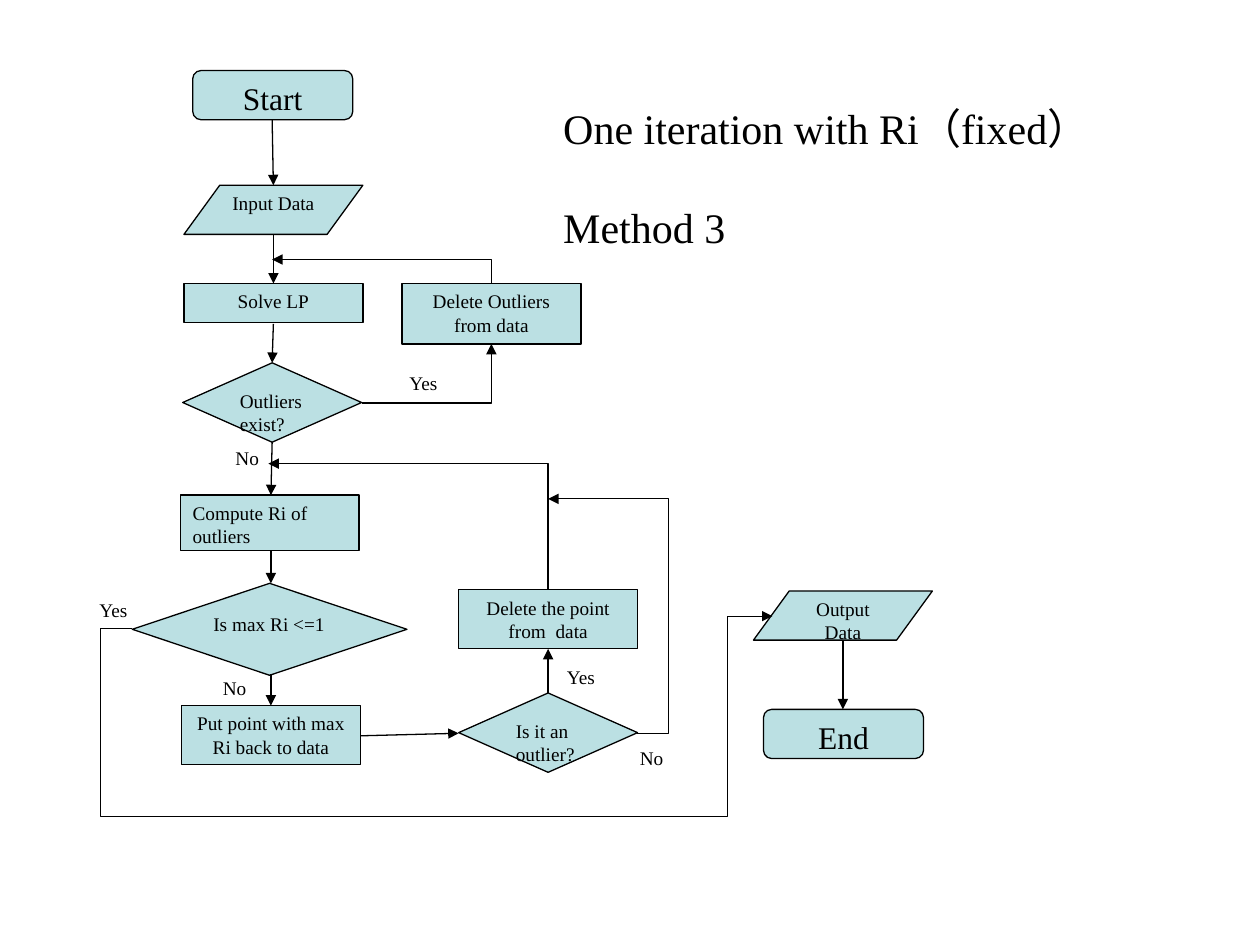
from dataclasses import dataclass

from lxml.etree import SubElement
from pptx import Presentation
from pptx.dml.color import RGBColor
from pptx.enum.shapes import MSO_CONNECTOR as LINK, MSO_SHAPE as FORM
from pptx.enum.text import MSO_ANCHOR, MSO_AUTO_SIZE, PP_ALIGN
from pptx.oxml.ns import qn
from pptx.util import Inches, Pt


@dataclass(frozen=True)
class Theme:
    """Colours, font and sizes of the chart."""
    ink: RGBColor = RGBColor(0, 0, 0)
    fill: RGBColor = RGBColor(0xBB, 0xE0, 0xE3)
    font: str = "Times New Roman"
    small: int = 11
    large: int = 18
    title: int = 24
    line: float = 0.75


class Flow:
    """Draws a flow chart on a grid of 100 columns by 75 rows."""

    def __init__(self, deck, theme):
        """Add a title-only slide and work out the grid cell."""
        self.theme = theme
        self.slide = deck.slides.add_slide(deck.slide_layouts[5])
        self.shapes = self.slide.shapes
        self.col = deck.slide_width / 100
        self.row = deck.slide_height / 75

    def grid(self, x, y, w, h):
        """Turn columns and rows into lengths."""
        return [round(n) for n in (x * self.col, y * self.row,
                                   w * self.col, h * self.row)]

    def words(self, shape, text, size, align=PP_ALIGN.LEFT):
        """Put styled text at the top of a shape."""
        frame = shape.text_frame
        frame.text = text
        frame.word_wrap = True
        frame.vertical_anchor = MSO_ANCHOR.TOP
        for para in frame.paragraphs:
            para.alignment = align
            for run in para.runs:
                run.font.name = self.theme.font
                run.font.size = Pt(size)
                run.font.color.rgb = self.theme.ink
        return frame

    def title(self, text, box, gap):
        """Place the title, with a gap before its last line."""
        shape = self.shapes.title
        shape.left, shape.top, shape.width, shape.height = self.grid(*box)
        frame = self.words(shape, text, self.theme.title)
        frame.auto_size = MSO_AUTO_SIZE.NONE
        frame.paragraphs[-1].space_before = Pt(gap)

    def node(self, form, text, box, size=None, align=PP_ALIGN.CENTER):
        """Add one step of the chart."""
        shape = self.shapes.add_shape(form, *self.grid(*box))
        shape.shadow.inherit = False
        shape.fill.solid()
        shape.fill.fore_color.rgb = self.theme.fill
        shape.line.color.rgb = self.theme.ink
        shape.line.width = Pt(self.theme.line)
        self.words(shape, text, size or self.theme.small, align)

    def label(self, text, x, y):
        """Add the answer beside a branch."""
        shape = self.shapes.add_textbox(*self.grid(x, y, 4.7, 2.9))
        frame = self.words(shape, text, self.theme.small)
        frame.auto_size = MSO_AUTO_SIZE.SHAPE_TO_FIT_TEXT

    def arrow(self, start, end, kind=LINK.STRAIGHT):
        """Add a line with an arrowhead at its end."""
        link = self.shapes.add_connector(kind, *self.grid(*start, *end))
        link.line.color.rgb = self.theme.ink
        link.line.width = Pt(self.theme.line)
        head = SubElement(link.line._get_or_add_ln(), qn("a:tailEnd"))
        head.set("type", "triangle")
        SubElement(link._element.spPr, qn("a:effectLst"))
        return link

    def bend(self, start, end, legs, turn=0, flip="", pulls=()):
        """Add an arrow with right-angled legs, turned and flipped."""
        (x1, y1), (x2, y2) = start, end
        wide, high = abs(x2 - x1), abs(y2 - y1)
        if turn % 180:
            wide, high = high, wide
        left, top = (x1 + x2 - wide) / 2, (y1 + y2 - high) / 2
        link = self.arrow((left, top), (left + wide, top + high), LINK.ELBOW)
        props = link._element.spPr
        frame = props.find(qn("a:xfrm"))
        frame.set("rot", str(turn * 60000))
        for axis in flip:
            frame.set("flip" + axis, "1")
        shape = props.find(qn("a:prstGeom"))
        shape.set("prst", f"bentConnector{legs}")
        guides = shape.find(qn("a:avLst"))
        if guides is None:
            guides = SubElement(shape, qn("a:avLst"))
        for i, pull in enumerate(pulls, 1):
            guide = SubElement(guides, qn("a:gd"))
            guide.set("name", f"adj{i}")
            guide.set("fmla", f"val {round(pull * 100000)}")


def main():
    """Build the slide and save it."""
    deck = Presentation()
    deck.slide_width, deck.slide_height = Inches(10), Inches(7.5)
    theme = Theme()
    flow = Flow(deck, theme)
    flow.title("One iteration with Ri（fixed）\nMethod 3",
               (43.7, 7.6, 46.5, 13.1), 28)

    wide = 14.2
    for text, x, y in (("Start", 15.3, 5.6), ("End", 60.6, 56.3)):
        flow.node(FORM.ROUNDED_RECTANGLE, text, (x, y, 12.7, 3.9), theme.large)
    for text, x, y in (("Input Data", 14.6, 14.7), ("Output Data", 59.8, 46.9)):
        flow.node(FORM.FLOWCHART_DATA, text, (x, y, wide, 3.9))
    for text, x, y, high in (
            ("Solve LP", 14.6, 22.5, 3.1),
            ("Delete Outliers from data", 31.9, 22.5, 4.8),
            ("Put point with max Ri back to data", 14.4, 56, 4.7),
            ("Delete the point from  data", 36.4, 46.8, 4.7)):
        flow.node(FORM.FLOWCHART_PROCESS, text, (x, y, wide, high))
    flow.node(FORM.FLOWCHART_PROCESS, "Compute Ri of outliers",
              (14.3, 39.3, wide, 4.4), align=PP_ALIGN.LEFT)
    for text, box in (
            ("Outliers exist?", (14.5, 28.8, wide, 6.3)),
            ("Is it an outlier?", (36.4, 55, wide, 6.3)),
            ("Is max Ri <=1", (10.5, 46.3, 21.8, 7.3))):
        flow.node(FORM.FLOWCHART_DECISION, text, box, align=PP_ALIGN.LEFT)

    for text, x, y in (("Yes", 31.5, 29), ("No", 17.7, 34.9),
                       ("Yes", 6.9, 47), ("No", 16.7, 53.2),
                       ("No", 49.8, 58.7), ("Yes", 44, 52.3)):
        flow.label(text, x, y)

    for start, end in (
            ((21.6, 9.5), (21.7, 14.7)), ((21.7, 18.6), (21.7, 22.5)),
            ((21.7, 25.7), (21.6, 28.8)), ((21.6, 35.1), (21.5, 39.3)),
            ((21.5, 43.7), (21.5, 46.3)), ((21.5, 53.5), (21.5, 56)),
            ((28.6, 58.4), (36.4, 58.2)), ((43.5, 55), (43.5, 51.5)),
            ((66.9, 50.8), (66.9, 56.3))):
        flow.arrow(start, end)

    flow.bend((28.7, 32), (39, 27.3), 2, flip="V")
    for start, end in (((39, 22.5), (21.6, 20.6)), ((43.5, 46.8), (21.3, 36.8))):
        flow.bend(start, end, 2, 270, "V")
    flow.bend((50.6, 58.2), (43.5, 39.6), 4, flip="HV", pulls=(-0.35, 1))
    flow.bend((10.5, 49.9), (61.3, 48.9), 5, 180, "H", (-0.05, -14.9, 0.93))
    deck.save("out.pptx")


main()
